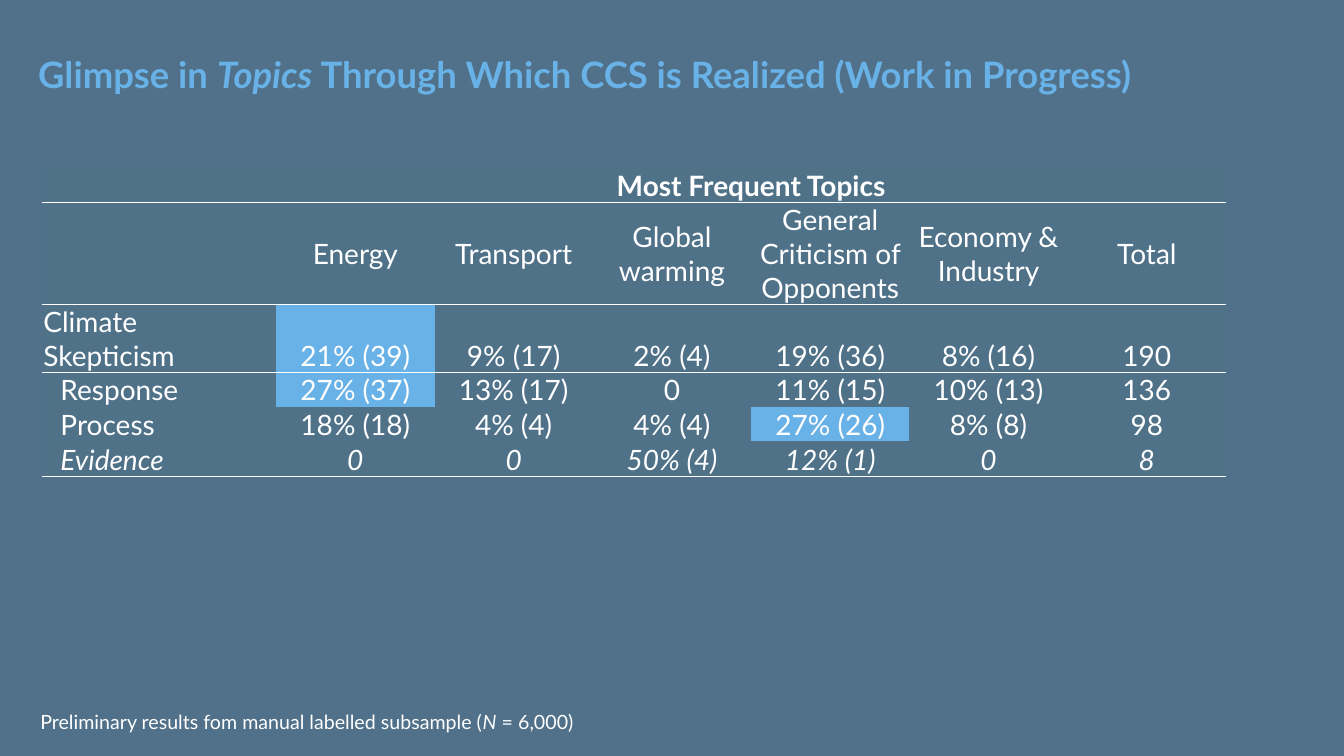
from lxml import etree
from pptx import Presentation
from pptx.dml.color import RGBColor
from pptx.enum.text import MSO_ANCHOR, PP_ALIGN
from pptx.oxml.ns import qn
from pptx.util import Inches, Pt

LEFT, CENTER = PP_ALIGN.LEFT, PP_ALIGN.CENTER
MIDDLE, BOTTOM = MSO_ANCHOR.MIDDLE, MSO_ANCHOR.BOTTOM
BACKGROUND, CELL, ACCENT, WHITE = "507189", "507289", "69B2E7", "FFFFFF"
PLAIN_TABLE_STYLE = "{2D5ABB26-0587-4C30-8999-92F81FD0307C}"

HEADINGS = ["", "Energy", "Transport", "Global warming",
            "General Criticism of Opponents", "Economy & Industry", "Total"]
RESULTS = [
    ["Climate Skepticism", "21% (39)", "9% (17)", "2% (4)", "19% (36)", "8% (16)", "190"],
    ["Response", "27% (37)", "13% (17)", "0", "11% (15)", "10% (13)", "136"],
    ["Process", "18% (18)", "4% (4)", "4% (4)", "27% (26)", "8% (8)", "98"],
    ["Evidence", "0", "0", "50% (4)", "12% (1)", "0", "8"],
]
ROWS = [["", "Most Frequent Topics"] + [""] * 5, HEADINGS] + RESULTS
HEADING_ROW, FIRST_RESULT, LAST_ROW = 1, 2, len(ROWS) - 1
RULED_ROWS = {0, HEADING_ROW, LAST_ROW}
HIGHLIGHTS = {(2, 1), (3, 1), (4, 4)}


def color(hex_code):
    return RGBColor.from_string(hex_code)


class SlideBuilder:
    """Places elements on a grid of 100 columns by 100 rows."""

    font_name = "Lato"

    def __init__(self, presentation):
        self.column = presentation.slide_width / 100
        self.row = presentation.slide_height / 100
        self.slide = presentation.slides.add_slide(presentation.slide_layouts[6])
        fill = self.slide.background.fill
        fill.solid()
        fill.fore_color.rgb = color(BACKGROUND)

    def place(self, left, top, width, height):
        return (round(left * self.column), round(top * self.row),
                round(width * self.column), round(height * self.row))

    def run(self, paragraph, text, size, hex_code=WHITE, bold=False, italic=False):
        run = paragraph.add_run()
        run.text = text
        font = run.font
        font.name, font.size = self.font_name, Pt(size)
        font.bold, font.italic = bold, italic
        font.color.rgb = color(hex_code)

    def text(self, box, parts, size, line_spacing, hex_code=WHITE, bold=False, inset=(0, 0)):
        """Add one paragraph; parts are (text, italic) pairs."""
        frame = self.slide.shapes.add_textbox(*self.place(*box)).text_frame
        frame.word_wrap = True
        frame.margin_left = frame.margin_right = Inches(inset[0])
        frame.margin_top = frame.margin_bottom = Inches(inset[1])
        paragraph = frame.paragraphs[0]
        paragraph.line_spacing = line_spacing
        for text, italic in parts:
            self.run(paragraph, text, size, hex_code, bold, italic)

    def table(self, left, top, column_widths, row_heights):
        box = self.place(left, top, sum(column_widths), sum(row_heights))
        table = self.slide.shapes.add_table(len(row_heights), len(column_widths), *box).table
        table.first_row = table.horz_banding = False
        table._tbl.tblPr.find(qn("a:tableStyleId")).text = PLAIN_TABLE_STYLE
        for column, width in zip(table.columns, column_widths):
            column.width = round(width * self.column)
        for row, height in zip(table.rows, row_heights):
            row.height = round(height * self.row)
        return table

    def rule(self, cell, side):
        """Draw a thin line on the cell's side, "T" or "B"."""
        line = etree.SubElement(cell._tc.get_or_add_tcPr(), qn("a:ln" + side), w=str(Pt(0.5)))
        fill = etree.SubElement(line, qn("a:solidFill"))
        etree.SubElement(fill, qn("a:srgbClr"), val=WHITE)

    def cell(self, cell, text, fill, align, anchor, indent, bold, italic):
        cell.margin_left, cell.margin_right = Inches(indent[0]), Inches(indent[1])
        cell.margin_top, cell.margin_bottom = Inches(0.01), 0
        cell.vertical_anchor = anchor
        cell.fill.solid()
        cell.fill.fore_color.rgb = color(fill)
        paragraph = cell.text_frame.paragraphs[0]
        paragraph.alignment = align
        if text:
            self.run(paragraph, text, 20, bold=bold, italic=italic)


def add_topics_table(builder):
    table = builder.table(3.15, 22.13, [17.4] + [11.78] * 6, [4.27, 8.53] + [4.27] * 4)
    table.cell(0, 1).merge(table.cell(0, 6))
    for r, texts in enumerate(ROWS):
        for c, text in enumerate(texts):
            cell = table.cell(r, c)
            if r - 1 in RULED_ROWS:
                builder.rule(cell, "T")
            if r in RULED_ROWS:
                builder.rule(cell, "B")
            indent = (0.01, 0.01)
            if c == 0:
                indent = (0.18 if r > FIRST_RESULT else 0.01, 0.18)
            builder.cell(
                cell, text,
                fill=ACCENT if (r, c) in HIGHLIGHTS else CELL,
                align=CENTER if c else LEFT,
                anchor=MIDDLE if r == HEADING_ROW else BOTTOM,
                indent=indent, bold=r == 0, italic=r == LAST_ROW)


def main():
    presentation = Presentation()
    presentation.slide_width, presentation.slide_height = Inches(13.33), Inches(7.5)
    builder = SlideBuilder(presentation)
    builder.text((3, 93.6, 43.96, 7.07),
                 [("Preliminary results fom manual labelled subsample (", False),
                  ("N", True), (" = 6,000)", False)], 14, 1.1)
    builder.text((2.1, 6.93, 92.65, 10.53),
                 [("Glimpse in ", False), ("Topics ", True),
                  ("Through Which CCS is Realized (Work in Progress)", False)],
                 26, 0.9, ACCENT, bold=True, inset=(0.1, 0.05))
    add_topics_table(builder)
    presentation.save("out.pptx")


if __name__ == "__main__":
    main()
